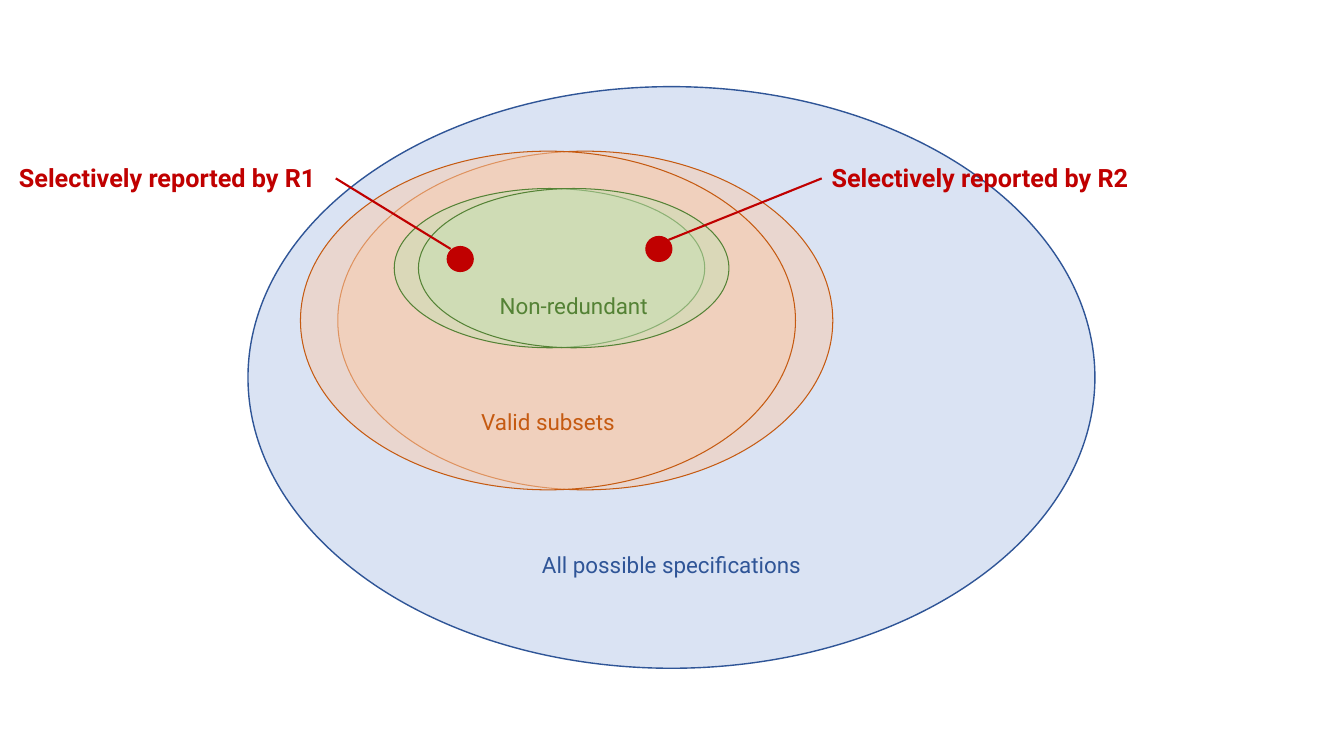
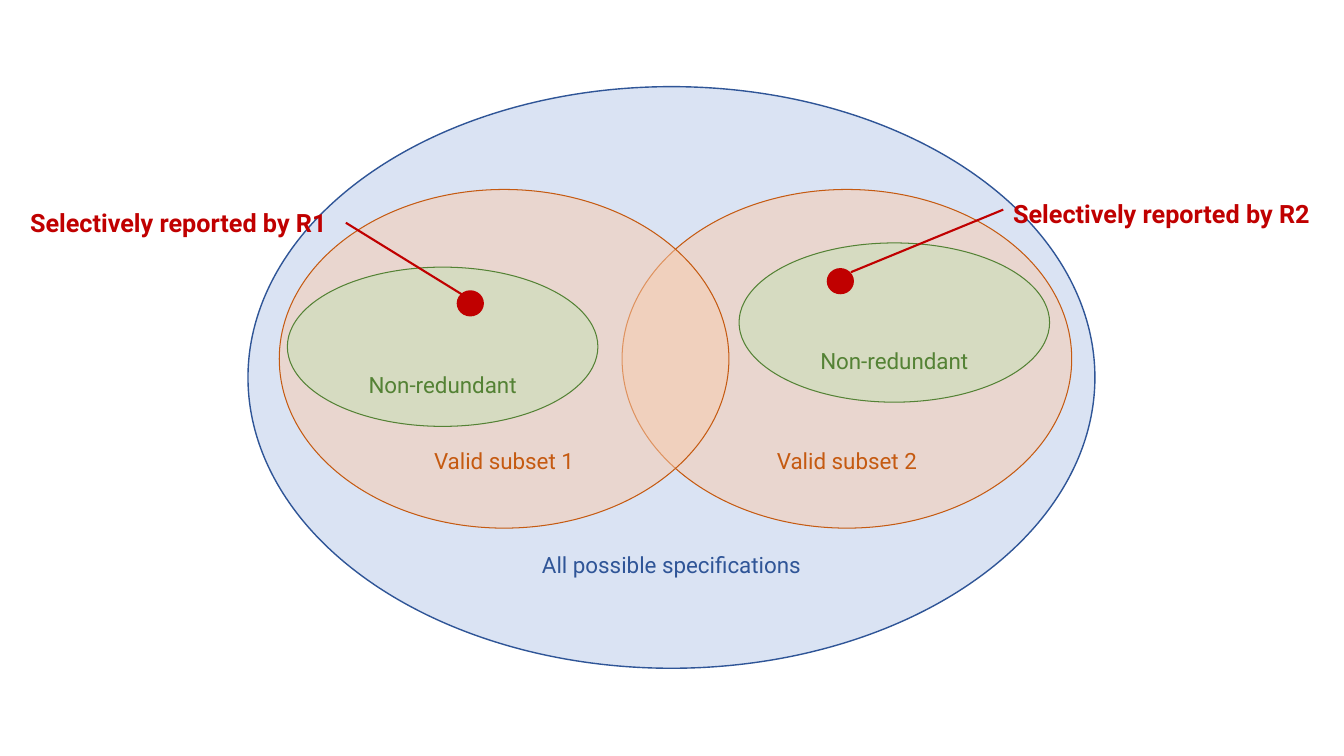
from lxml import etree
from pptx import Presentation
from pptx.dml.color import RGBColor
from pptx.enum.shapes import MSO_CONNECTOR, MSO_SHAPE
from pptx.enum.text import MSO_ANCHOR, MSO_AUTO_SIZE, PP_ALIGN
from pptx.oxml.ns import qn
from pptx.util import Inches, Pt

ELLIPSE = MSO_SHAPE.OVAL
STRAIGHT = MSO_CONNECTOR.STRAIGHT
BOTTOM = MSO_ANCHOR.BOTTOM
CENTER = PP_ALIGN.CENTER
LEFT = PP_ALIGN.LEFT
GROW = MSO_AUTO_SIZE.SHAPE_TO_FIT_TEXT

SLIDE_W, SLIDE_H = 13.33, 7.5
BLANK_LAYOUT = 6
DOT_W, DOT_H = 0.27, 0.26
CALLOUT_W, CALLOUT_H = 3.93, 0.4

COLORS = {
    "all_fill": "DAE3F3", "all_ink": "2F5597",
    "valid_fill": "F8CBAD", "valid_ink": "C55A11",
    "core_fill": "C5E0B4", "core_ink": "548235",
    "report": "C00000",
}
# Per kind of set: line width in points, opacity in percent
SET_STYLES = {"all": (1, 100), "valid": (0.75, 50), "core": (0.75, 50)}
SET_FONT = {"name": "Roboto", "size": Pt(16), "bold": False}
CALLOUT_FONT = {"name": "Roboto", "size": Pt(18), "bold": True}


def rgb(key):
    return RGBColor.from_string(COLORS[key])


class VennDeck:
    """Holds the presentation, its style and the current slide."""

    def __init__(self):
        self.prs = Presentation()
        self.prs.slide_width = Inches(SLIDE_W)
        self.prs.slide_height = Inches(SLIDE_H)
        self.slide = None

    def new_slide(self):
        layout = self.prs.slide_layouts[BLANK_LAYOUT]
        self.slide = self.prs.slides.add_slide(layout)

    def add_label(self, frame, text, font, color, align):
        paragraph = frame.paragraphs[0]
        paragraph.alignment = align
        run = paragraph.add_run()
        run.text = text
        for attribute, value in font.items():
            setattr(run.font, attribute, value)
        run.font.color.rgb = rgb(color)

    def ellipse(self, box, fill):
        shape = self.slide.shapes.add_shape(ELLIPSE, *map(Inches, box))
        shape.shadow.inherit = False
        shape.fill.solid()
        shape.fill.fore_color.rgb = rgb(fill)
        return shape

    def set_ellipse(self, kind, box, label=None):
        line_width, opacity = SET_STYLES[kind]
        shape = self.ellipse(box, f"{kind}_fill")
        shape.line.color.rgb = rgb(f"{kind}_ink")
        shape.line.width = Pt(line_width)
        if opacity < 100:
            fill_color = shape._element.spPr.find(qn("a:solidFill"))[0]
            alpha = etree.SubElement(fill_color, qn("a:alpha"))
            alpha.set("val", str(opacity * 1000))
        if label:
            frame = shape.text_frame
            frame.vertical_anchor = BOTTOM
            self.add_label(frame, label, SET_FONT, f"{kind}_ink", CENTER)

    def dot(self, left, top):
        shape = self.ellipse((left, top, DOT_W, DOT_H), "report")
        shape.line.fill.background()

    def callout(self, text, left, top):
        width = min(CALLOUT_W, SLIDE_W - left)
        box = (left, top, width, CALLOUT_H)
        frame = self.slide.shapes.add_textbox(*map(Inches, box)).text_frame
        frame.word_wrap = True
        frame.auto_size = GROW
        self.add_label(frame, text, CALLOUT_FONT, "report", LEFT)

    def leader(self, start, end):
        line = self.slide.shapes.add_connector(
            STRAIGHT, *map(Inches, (*start, *end)))
        line.line.color.rgb = rgb("report")
        line.line.width = Pt(1.5)
        etree.SubElement(line._element.spPr, qn("a:effectLst"))

    def report(self, researcher, dot, label, start, end):
        self.dot(*dot)
        self.callout(f"Selectively reported by {researcher}", *label)
        self.leader(start, end)

    def venn(self, sets, reports):
        self.new_slide()
        self.set_ellipse("all", (2.46, 0.86, 8.4, 5.77),
                         "All possible specifications")
        for each_set in sets:
            self.set_ellipse(*each_set)
        for each_report in reports:
            self.report(*each_report)


deck = VennDeck()

# Slide 1: the two researchers' sets largely overlap
valid_size, core_size = (4.91, 3.36), (3.08, 1.58)
deck.venn(
    sets=[
        ("valid", (3.35, 1.5, *valid_size)),
        ("valid", (2.98, 1.5, *valid_size), "Valid subsets"),
        ("core", (3.91, 1.87, *core_size)),
        ("core", (4.15, 1.87, *core_size), "Non-redundant"),
    ],
    reports=[
        ("R1", (4.43, 2.44), (0.09, 1.56), (4.47, 2.47), (3.33, 1.77)),
        ("R2", (6.4, 2.34), (8.15, 1.56), (6.63, 2.38), (8.15, 1.77)),
    ],
)

# Slide 2: the two valid subsets barely overlap
valid_size = (4.46, 3.36)
deck.venn(
    sets=[
        ("valid", (6.17, 1.88, *valid_size), "Valid subset 2"),
        ("valid", (2.77, 1.88, *valid_size), "Valid subset 1"),
        ("core", (2.85, 2.65, *core_size), "Non-redundant"),
        ("core", (7.33, 2.41, *core_size), "Non-redundant"),
    ],
    reports=[
        ("R1", (4.53, 2.88), (0.2, 2.01), (4.58, 2.92), (3.43, 2.21)),
        ("R2", (8.2, 2.66), (9.95, 1.92), (8.44, 2.7), (9.95, 2.08)),
    ],
)

deck.prs.save("out.pptx")
